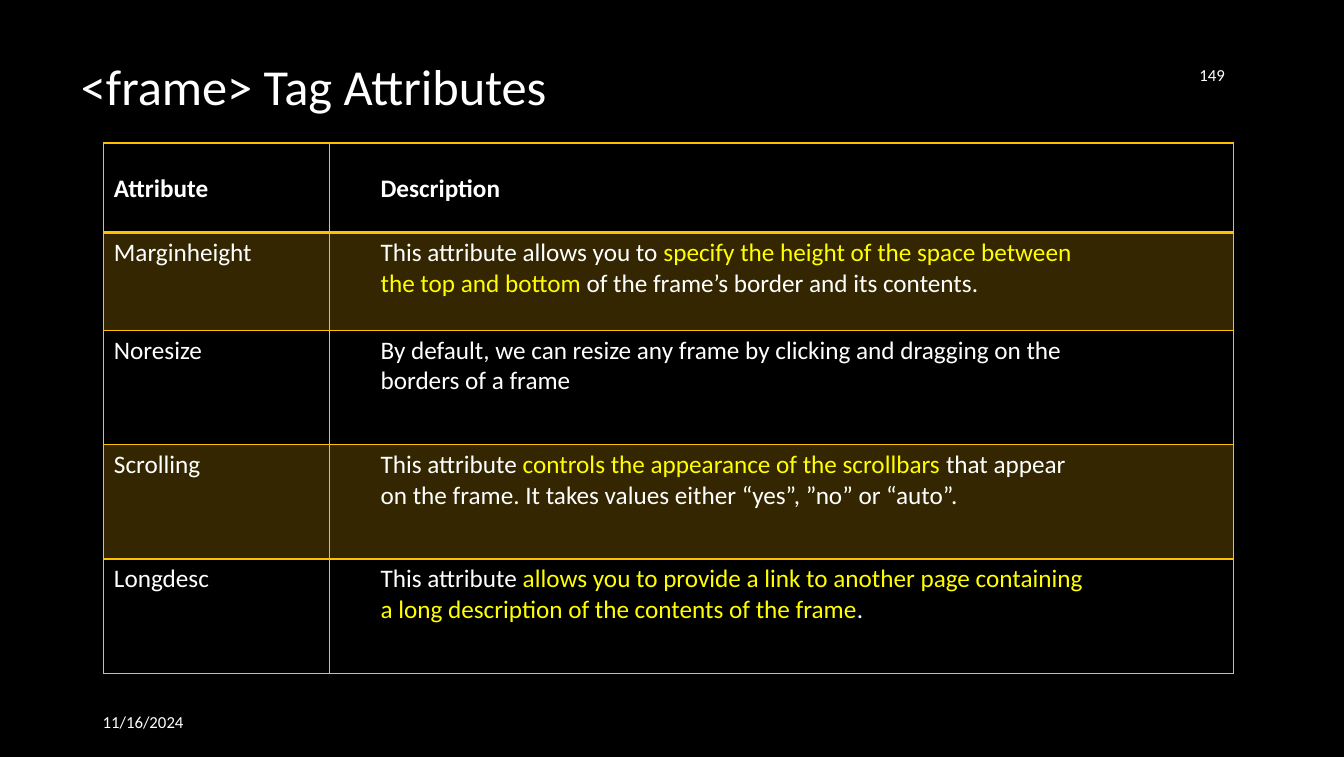
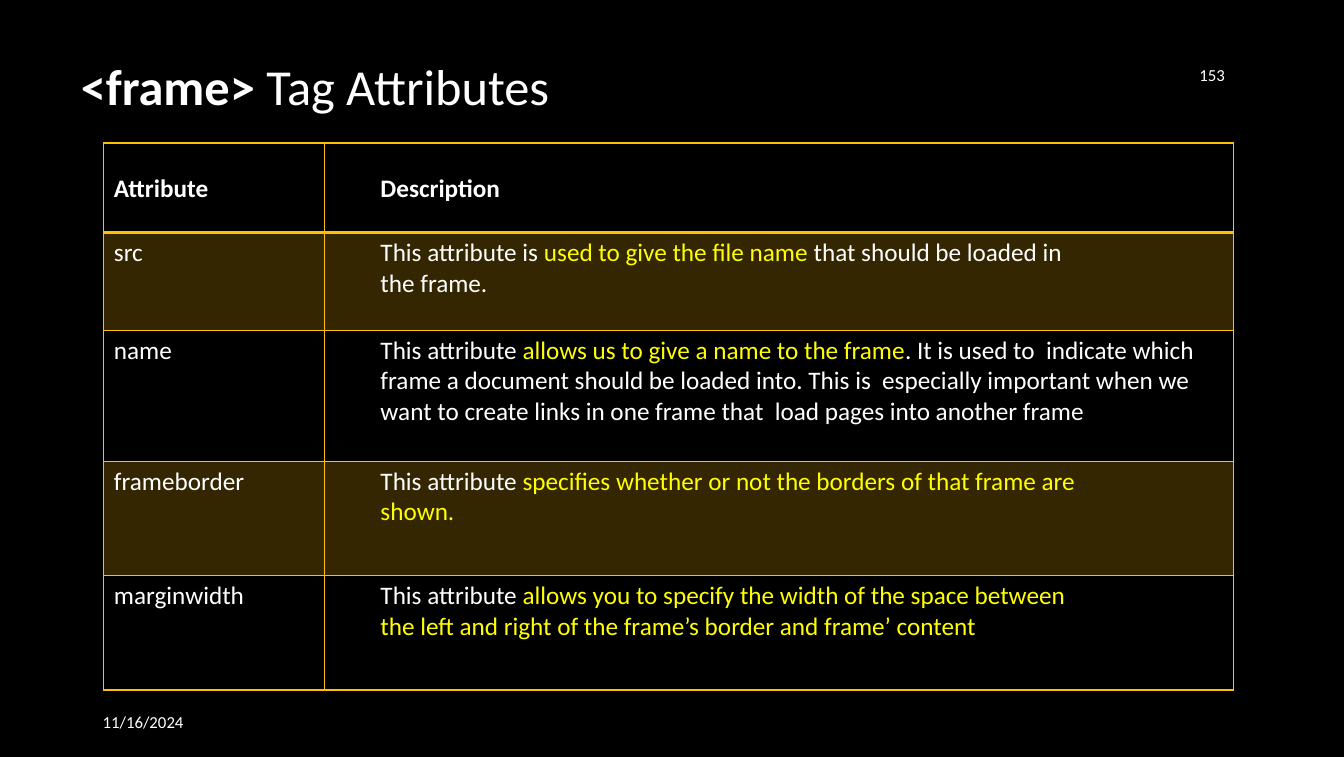
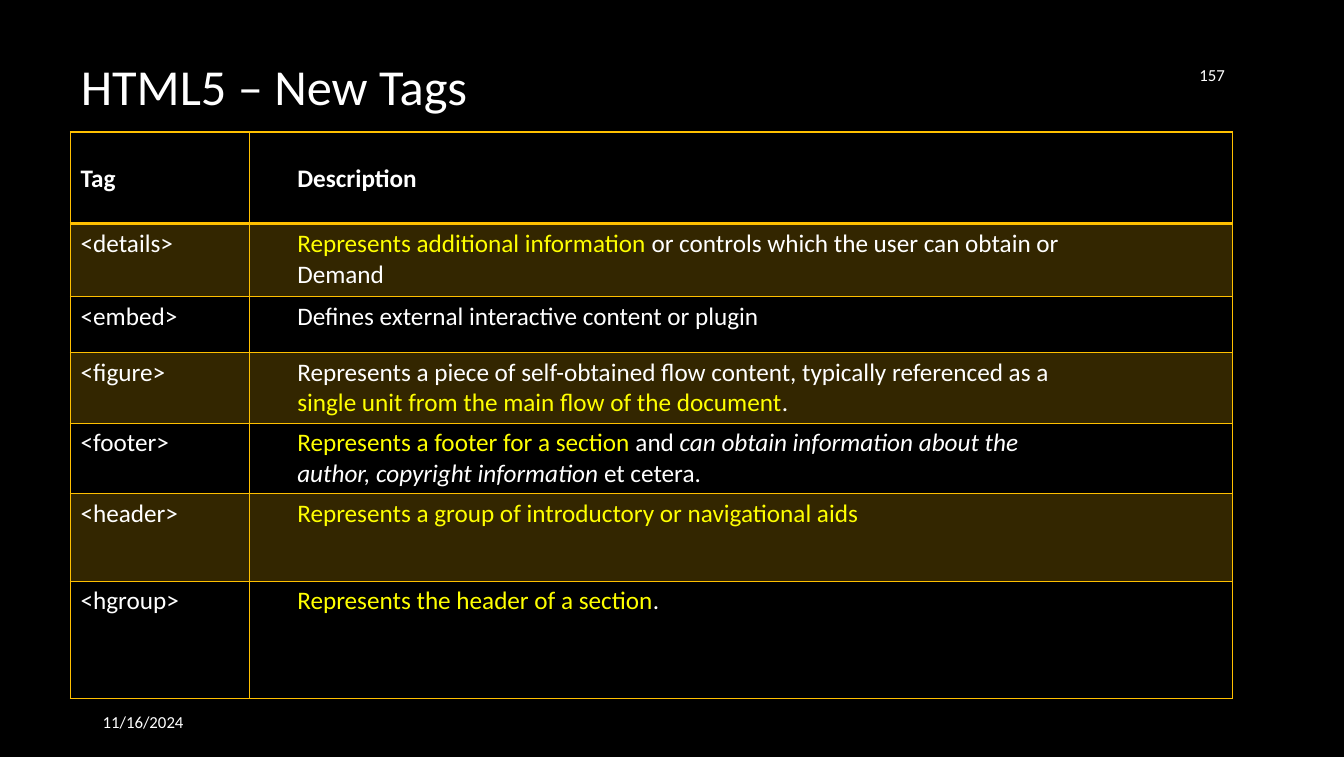
from collections import namedtuple

from lxml import etree
from pptx import Presentation
from pptx.dml.color import RGBColor
from pptx.enum.text import MSO_ANCHOR, MSO_AUTO_SIZE, PP_ALIGN
from pptx.oxml.ns import qn
from pptx.util import Pt

MIDDLE, TOP = MSO_ANCHOR.MIDDLE, MSO_ANCHOR.TOP
LEFT, RIGHT = PP_ALIGN.LEFT, PP_ALIGN.RIGHT
GROW = MSO_AUTO_SIZE.SHAPE_TO_FIT_TEXT
TITLE_ONLY = 5

COLORS = {
    "background": "000000",
    "text": "FFFFFF",
    "key": "FFFF00",
    "rule": "FFC000",
    "band": "332600",
}
FONT = "Calibri"
DATE = "11/16/2024"

Run = namedtuple("Run", "text color bold italic", defaults=(None, None, None))


def key(text):
    """Mark a phrase to be highlighted."""
    return Run(text, color="key")


def rgb(name):
    return RGBColor.from_string(COLORS[name])


class Deck:
    def __init__(self):
        self.prs = Presentation()
        self.prs.slide_width, self.prs.slide_height = Pt(960), Pt(540.7)
        fill = self.prs.slide_master.background.fill
        fill.solid()
        fill.fore_color.rgb = rgb("background")
        self.slide = None

    def add_slide(self, title, number):
        layout = self.prs.slide_layouts[TITLE_ONLY]
        self.slide = self.prs.slides.add_slide(layout)
        self.title(title)
        self.label(DATE, 66.2, 501, 216, 29, LEFT)
        self.label(number, 815.8, 23, 66.2, 60.5, RIGHT)

    def set_text(self, frame, lines, size, bold=False, align=LEFT):
        """Fill a text frame; a line is a string, a Run or a list of both."""
        for index, line in enumerate(lines):
            paragraph = frame.add_paragraph() if index else frame.paragraphs[0]
            paragraph.alignment = align
            font = paragraph.font
            font.name, font.size, font.bold = FONT, Pt(size), bold
            font.color.rgb = rgb("text")
            for part in [line] if isinstance(line, (str, Run)) else line:
                part = Run(part) if isinstance(part, str) else part
                run = paragraph.add_run()
                run.text = part.text
                if part.color:
                    run.font.color.rgb = rgb(part.color)
                if part.bold:
                    run.font.bold = True
                if part.italic:
                    run.font.italic = True

    def title(self, line):
        title = self.slide.shapes.title
        title.left, title.top = Pt(57), Pt(37.5)
        title.width, title.height = Pt(400), Pt(45.5)
        frame = title.text_frame
        frame.margin_left, frame.margin_top = Pt(0.7), Pt(1.3)
        frame.margin_right = frame.margin_bottom = 0
        frame.vertical_anchor, frame.auto_size = MIDDLE, GROW
        frame.word_wrap = True
        self.set_text(frame, [line], 36)

    def label(self, text, left, top, width, height, align):
        box = self.slide.shapes.add_textbox(Pt(left), Pt(top), Pt(width), Pt(height))
        box.text_frame.word_wrap = True
        box.text_frame.vertical_anchor = MIDDLE
        self.set_text(box.text_frame, [text], 12, align=align)

    def borders(self, cell, top, bottom):
        properties = cell._tc.get_or_add_tcPr()
        for side, width in (("L", 1), ("R", 1), ("T", top), ("B", bottom)):
            line = etree.SubElement(properties, qn(f"a:ln{side}"), w=str(Pt(width)))
            fill = etree.SubElement(line, qn("a:solidFill"))
            etree.SubElement(fill, qn("a:srgbClr"), val=COLORS["rule"])

    def table(self, left, top, widths, heights, indent, heading, entries):
        """Draw a two-column list; indent is the left margin of the descriptions."""
        rows = [(heading, ["Description"]), *entries]
        table = self.slide.shapes.add_table(
            len(rows), 2, Pt(left), Pt(top), Pt(sum(widths)), Pt(sum(heights))
        ).table
        table.first_row = table.horz_banding = False
        for column, width in zip(table.columns, widths):
            column.width = Pt(width)
        for index, (name, description) in enumerate(rows):
            table.rows[index].height = Pt(heights[index])
            header = index == 0
            for column, lines in enumerate(([name], description)):
                cell = table.cell(index, column)
                cell.margin_left = Pt(indent if column else 7.2)
                cell.margin_right = cell.margin_bottom = 0
                cell.margin_top = Pt(2 if header else 3.3)
                cell.vertical_anchor = MIDDLE if header else TOP
                self.borders(cell, 2 if index == 1 else 1, 2 if header else 1)
                if index % 2:
                    cell.fill.solid()
                    cell.fill.fore_color.rgb = rgb("band")
                else:
                    cell.fill.background()
                self.set_text(cell.text_frame, lines, 18, bold=header)


def main():
    deck = Deck()

    deck.add_slide("<frame> Tag Attributes", "149")
    deck.table(74.2, 102.2, (161.2, 645.6), (64, 70, 81.6, 81.6, 81.6), 36.5, "Attribute", [
        ("Marginheight", [
            ["This attribute allows you to ", key("specify the height of the space between")],
            [key("the top and bottom"), " of the frame’s border and its contents."],
        ]),
        ("Noresize", [
            "By default, we can resize any frame by clicking and dragging on the",
            "borders of a frame",
        ]),
        ("Scrolling", [
            ["This attribute ", key("controls the appearance of the scrollbars "), "that appear"],
            "on the frame. It takes values either “yes”, ”no” or “auto”.",
        ]),
        ("Longdesc", [
            ["This attribute ", key("allows you to provide a link to another page containing")],
            [key("a long description of the contents of the frame"), "."],
        ]),
    ])

    deck.add_slide([Run("<frame> ", bold=True), "Tag Attributes"], "153")
    deck.table(74.2, 102.2, (157.8, 649), (64, 70, 93.5, 81.6, 81.6), 39.8, "Attribute", [
        ("src", [
            ["This attribute is ", key("used to give the file name "), "that should be loaded in"],
            "the frame.",
        ]),
        ("name", [[
            "This attribute ",
            key("allows us to give a name to the frame"),
            ". It is used to  indicate which frame a document should be loaded into. "
            "This is  especially important when we want to create links in one frame "
            "that  load pages into another frame",
        ]]),
        ("frameborder", [
            ["This attribute ", key("specifies whether or not the borders of that frame are")],
            key("shown."),
        ]),
        ("marginwidth", [
            ["This attribute ", key("allows you to specify the width of the space between")],
            key("the left and right of the frame’s border and frame’ content"),
        ]),
    ])

    deck.add_slide("HTML5 – New Tags", "157")
    deck.table(50.4, 94.3, (128, 702), (65.5, 52, 40, 50.5, 50.5, 62.5, 84), 34, "Tag", [
        ("<details>", [
            [key("Represents additional information "), "or controls which the user can obtain or"],
            "Demand",
        ]),
        ("<embed>", ["Defines external interactive content or plugin"]),
        ("<figure>", [
            "Represents a piece of self-obtained flow content, typically referenced as a",
            [key("single unit from the main flow of the document"), "."],
        ]),
        ("<footer>", [
            [key("Represents a footer for a section "), "and ",
             Run("can obtain information about the", italic=True)],
            [Run("author, copyright information ", italic=True), "et cetera."],
        ]),
        ("<header>", [key("Represents a group of introductory or navigational aids")]),
        ("<hgroup>", [[key("Represents the header of a section"), "."]]),
    ])

    deck.prs.save("out.pptx")


if __name__ == "__main__":
    main()
